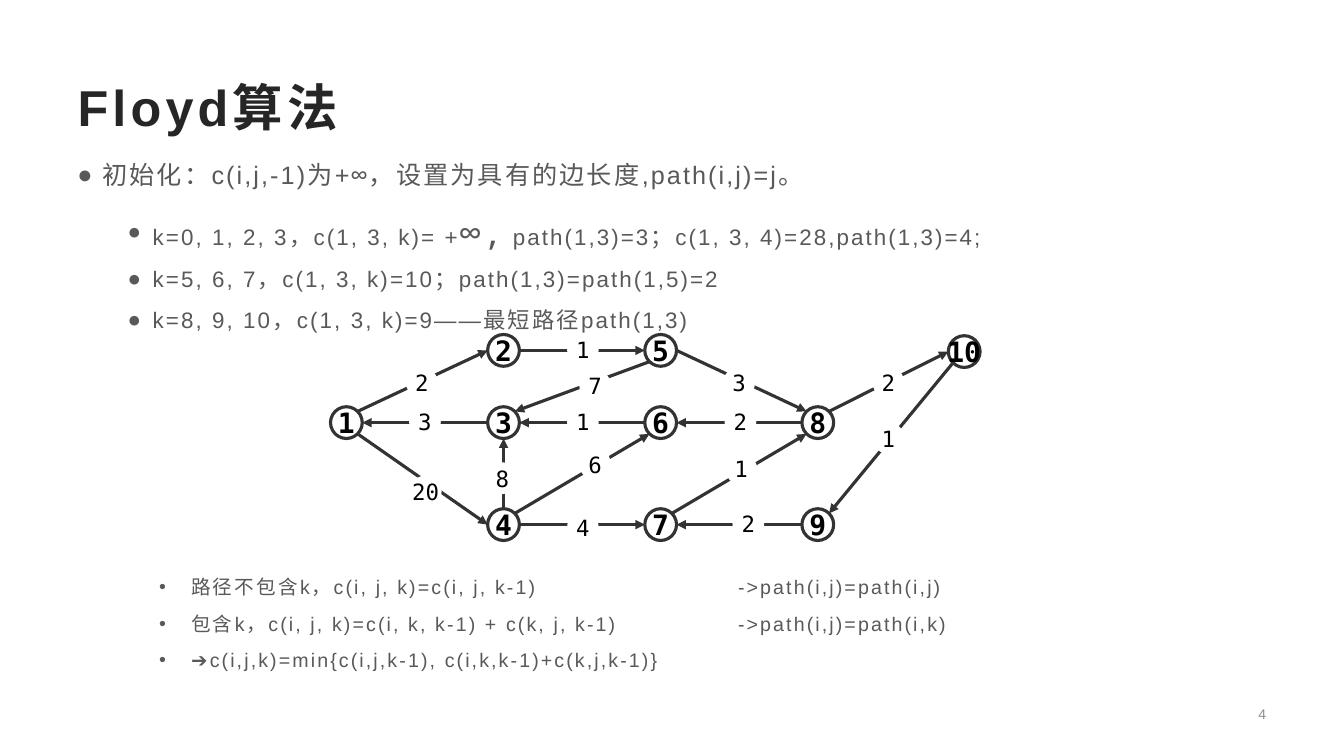
from dataclasses import dataclass

from lxml.etree import SubElement
from pptx import Presentation
from pptx.dml.color import RGBColor
from pptx.enum.shapes import MSO_CONNECTOR as Connector, MSO_SHAPE as Shape
from pptx.enum.text import MSO_ANCHOR as Anchor, PP_ALIGN as Align
from pptx.oxml.ns import qn
from pptx.util import Cm, Pt


@dataclass(frozen=True)
class Theme:
    title: str = "262626"
    body: str = "595959"
    muted: str = "8C8C8C"
    stroke: str = "333333"
    paper: str = "FFFFFF"
    ink: str = "000000"
    sans: str = "Arial"
    mono: str = "DejaVu Sans Mono"
    symbol: str = "Noto Sans Mono"
    title_size: float = 36
    lead_size: float = 18
    point_size: float = 16
    infinity_size: float = 24
    formula_size: float = 14
    node_size: float = 20
    weight_size: float = 16
    number_size: float = 10
    line_width: float = 2.25


THEME = Theme()

# Graph: node centres in cm, on four equal columns and three rows
DIAMETER = 0.8
COLUMN = [8.73 + 3.96 * step for step in range(4)]
TOP, MIDDLE, BOTTOM = 8.83, 10.65, 13.22
NODES = {
    1: (COLUMN[0], MIDDLE), 2: (COLUMN[1], TOP), 3: (COLUMN[1], MIDDLE),
    4: (COLUMN[1], BOTTOM), 5: (COLUMN[2], TOP), 6: (COLUMN[2], MIDDLE),
    7: (COLUMN[2], BOTTOM), 8: (COLUMN[3], MIDDLE), 9: (COLUMN[3], BOTTOM),
    10: (24.3, 8.86),
}

# Directions from a node's centre to the sites on its rim
DIAGONAL = 0.71
SITES = {
    "N": (0, -1), "S": (0, 1), "W": (-1, 0), "E": (1, 0),
    "NW": (-DIAGONAL, -DIAGONAL), "NE": (DIAGONAL, -DIAGONAL),
    "SW": (-DIAGONAL, DIAGONAL), "SE": (DIAGONAL, DIAGONAL),
}

# Start node, start site, end node, end site, weight, centre of the weight
EDGES = [
    (3, "W", 1, "E", "3", (10.71, 10.63)),
    (1, "NE", 2, "W", "2", (10.63, 9.64)),
    (2, "E", 5, "W", "1", (14.69, 8.8)),
    (6, "W", 3, "E", "1", (14.69, 10.63)),
    (8, "W", 6, "E", "2", (18.66, 10.63)),
    (1, "SE", 4, "W", "20", (10.73, 12.38)),
    (4, "N", 3, "S", "8", (12.66, 12.05)),
    (5, "E", 8, "NW", "3", (18.63, 9.64)),
    (8, "NE", 10, "W", "2", (22.39, 9.64)),
    (10, "SW", 9, "NE", "1", (22.39, 11.04)),
    (9, "W", 7, "E", "2", (18.86, 13.2)),
    (7, "NE", 8, "SW", "1", (18.68, 11.82)),
    (4, "NE", 6, "SW", "6", (15, 11.7)),
    (4, "E", 7, "W", "4", (14.69, 13.3)),
    (5, "SW", 3, "NE", "7", (15, 9.72)),
]

# Body lines: runs of (text, size, font)
LEAD = [
    ("初始化：c(i,j,-1)为+", THEME.lead_size, THEME.sans),
    ("∞，", THEME.lead_size, THEME.symbol),
    ("设置为具有的边长度,path(i,j)=j", THEME.lead_size, THEME.sans),
    ("。", THEME.lead_size, THEME.symbol),
]
POINTS = [
    [("k=0, 1, 2, 3，c(1, 3, k)= +", THEME.point_size, THEME.sans),
     ("∞,", THEME.infinity_size, THEME.symbol),
     (" path(1,3)=3；c(1, 3, 4)=28,path(1,3)=4;", THEME.point_size, THEME.sans)],
    [("k=5, 6, 7，c(1, 3, k)=10；path(1,3)=path(1,5)=2", THEME.point_size, THEME.sans)],
    [("k=8, 9, 10，c(1, 3, k)=9——最短路径path(1,3)", THEME.point_size, THEME.sans)],
]
FORMULAS = [
    "路径不包含k，c(i, j, k)=c(i, j, k-1)\t->path(i,j)=path(i,j)",
    "包含k，c(i, j, k)=c(i, k, k-1) + c(k, j, k-1)\t->path(i,j)=path(i,k)",
    "➔c(i,j,k)=min{c(i,j,k-1), c(i,k,k-1)+c(k,j,k-1)}",
]


def add_span(para, text, size, color, font=THEME.sans, bold=False, spacing=0):
    span = para.add_run()
    span.text = text
    span.font.name = font
    span.font.size = Pt(size)
    span.font.bold = bold
    span.font.color.rgb = RGBColor.from_string(color)
    properties = span.font._element
    SubElement(properties, qn("a:ea"), typeface=font)
    if spacing:
        properties.set("spc", str(round(spacing * 100)))


def add_box(page, left, top, width, height):
    box = page.shapes.add_textbox(Cm(left), Cm(top), Cm(width), Cm(height))
    box.text_frame.word_wrap = True
    return box.text_frame


def add_bullet(frame, runs, symbol, margin, hanging, level=1, leading=1.2, after=6, tab=None):
    first = frame.paragraphs[0]
    para = frame.add_paragraph() if first.runs else first
    para.level = level
    properties = para._p.get_or_add_pPr()
    properties.set("marL", str(Cm(margin)))
    properties.set("indent", str(-Cm(hanging)))
    SubElement(properties, qn("a:buFont"), typeface=THEME.sans)
    SubElement(properties, qn("a:buChar"), char=symbol)
    if tab:
        stops = SubElement(properties, qn("a:tabLst"))
        SubElement(stops, qn("a:tab"), pos=str(Cm(tab)), algn="l")
    para.line_spacing = leading
    para.space_before = Pt(0)
    para.space_after = Pt(after)
    for text, size, font in runs:
        add_span(para, text, size, THEME.body, font, spacing=1.5)


def add_disc(page, center, text, size, bold=False, outlined=False):
    left, top = (Cm(value - DIAMETER / 2) for value in center)
    disc = page.shapes.add_shape(Shape.OVAL, left, top, Cm(DIAMETER), Cm(DIAMETER))
    disc.shadow.inherit = False
    disc.fill.solid()
    disc.fill.fore_color.rgb = RGBColor.from_string(THEME.paper)
    if outlined:
        disc.line.color.rgb = RGBColor.from_string(THEME.stroke)
        disc.line.width = Pt(THEME.line_width)
    else:
        disc.line.fill.background()
    frame = disc.text_frame
    frame.word_wrap = False
    frame.vertical_anchor = Anchor.MIDDLE
    frame.margin_left = frame.margin_right = frame.margin_top = frame.margin_bottom = 0
    frame.paragraphs[0].alignment = Align.CENTER
    add_span(frame.paragraphs[0], text, size, THEME.ink, THEME.mono, bold)


def rim_point(node, site):
    return [Cm(middle + step * DIAMETER / 2) for middle, step in zip(NODES[node], SITES[site])]


def add_arrow(page, start, end):
    arrow = page.shapes.add_connector(Connector.STRAIGHT, *start, *end)
    arrow.line.color.rgb = RGBColor.from_string(THEME.stroke)
    arrow.line.width = Pt(THEME.line_width)
    SubElement(arrow.line._get_or_add_ln(), qn("a:tailEnd"), type="triangle")
    SubElement(arrow._element.spPr, qn("a:effectLst"))


def main():
    deck = Presentation()
    deck.slide_width, deck.slide_height = Cm(33.87), Cm(19.05)
    page = deck.slides.add_slide(deck.slide_layouts[5])

    # Title
    title = page.shapes.title
    title.left, title.top, title.width, title.height = Cm(1.7), Cm(1.7), Cm(30.48), Cm(1.96)
    title.text_frame.vertical_anchor = Anchor.MIDDLE
    heading = title.text_frame.paragraphs[0]
    heading.alignment = Align.LEFT
    add_span(heading, "Floyd算法", THEME.title_size, THEME.title, bold=True, spacing=3)

    # Initialisation and steps
    steps = add_box(page, 1.7, 3.66, 30.48, 13.2)
    add_bullet(steps, LEAD, "●", 0.63, 0.63, level=0, leading=1.3, after=10)
    for runs in POINTS:
        add_bullet(steps, runs, "●", 1.9, 0.63)

    # Weighted graph
    for node, center in NODES.items():
        add_disc(page, center, str(node), THEME.node_size, bold=True, outlined=True)
    for start, start_site, end, end_site, weight, center in EDGES:
        add_arrow(page, rim_point(start, start_site), rim_point(end, end_site))
        add_disc(page, center, weight, THEME.weight_size)

    # Recurrence
    recurrence = add_box(page, 3.5, 14.25, 28.42, 2.84)
    recurrence.margin_left = 0
    for formula in FORMULAS:
        add_bullet(recurrence, [(formula, THEME.formula_size, THEME.sans)], "•", 1.32, 0.81, tab=15.1)

    # Page number
    number = add_box(page, 24.66, 17.55, 7.5, 0.89)
    number.vertical_anchor = Anchor.MIDDLE
    number.paragraphs[0].alignment = Align.RIGHT
    add_span(number.paragraphs[0], "4", THEME.number_size, THEME.muted)

    deck.save("out.pptx")


if __name__ == "__main__":
    main()
